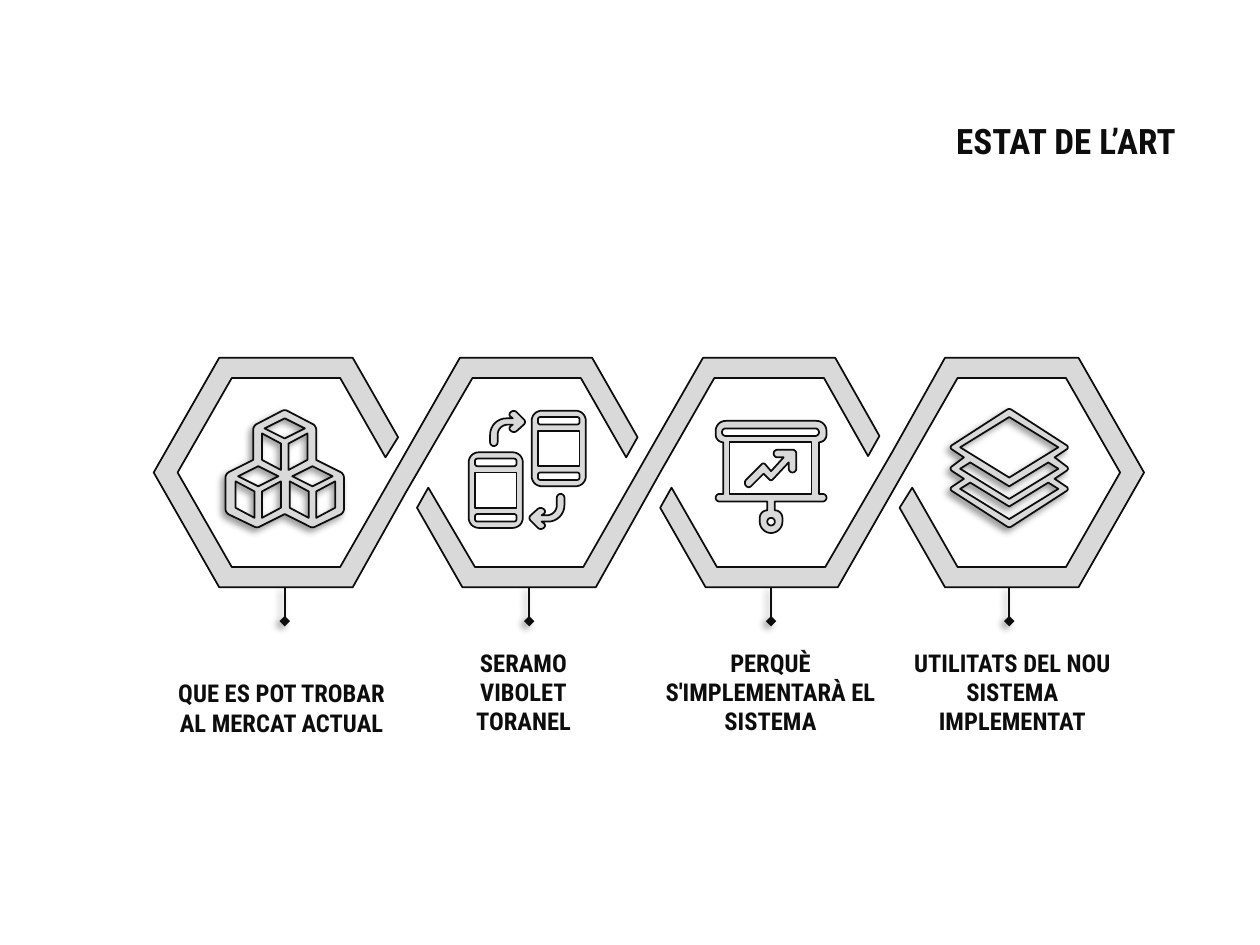
"""Build the slide of four interlocked hexagons with icons and captions."""
from dataclasses import dataclass

from lxml import etree
from pptx import Presentation
from pptx.dml.color import RGBColor
from pptx.enum.shapes import MSO_CONNECTOR
from pptx.enum.text import MSO_ANCHOR, PP_ALIGN
from pptx.oxml.ns import qn
from pptx.util import Pt

PX = 9144
INK = RGBColor(0x0D, 0x0D, 0x0D)
GREY = RGBColor(0xD9, 0xD9, 0xD9)
SHADOW_INK = RGBColor(0, 0, 0)
STRAIGHT = MSO_CONNECTOR.STRAIGHT
BOTTOM = MSO_ANCHOR.BOTTOM
CENTER = PP_ALIGN.CENTER
ROUNDNESS = 0.55
CURVE_STEPS = 8
INSET = 10 * PX
FRAME_FORMAT = {
    "word_wrap": True, "vertical_anchor": BOTTOM,
    "margin_left": INSET, "margin_right": INSET,
    "margin_top": INSET, "margin_bottom": INSET,
}
SHADOW_FORMAT = {
    "blurRad": Pt(4), "dist": Pt(3), "dir": 135 * 60000,
    "algn": "bl", "rotWithShape": 0,
}

Corner = tuple[int, ...]
Contour = list[Corner]


@dataclass(frozen=True)
class Outline:
    contours: list[Contour]
    shadowed: bool = False


@dataclass(frozen=True)
class Caption:
    left: int
    top: int
    width: int
    height: int
    lines: tuple[str, ...]
    size: int = 14


def box(left: int, top: int, right: int, bottom: int, radius: int = 0) -> Contour:
    return [(left, top, radius), (right, top, radius),
            (right, bottom, radius), (left, bottom, radius)]


def diamond(x: int, y: int, half_width: int, half_height: int) -> Contour:
    return [(x, y - half_height), (x + half_width, y),
            (x, y + half_height), (x - half_width, y)]


def half_turn(contour: Contour, sum_x: int, sum_y: int) -> Contour:
    return [(sum_x - x, sum_y - y, *radius) for x, y, *radius in contour]


def mirrored(half: Contour, axis: int) -> Contour:
    """Close a right-hand half with its reflection in a vertical axis."""
    return half + [(2 * axis - x, y, *radius)
                   for x, y, *radius in reversed(half) if x != axis]


def toward(start: Corner, end: Corner, share: float) -> tuple[float, float]:
    return (start[0] + (end[0] - start[0]) * share,
            start[1] + (end[1] - start[1]) * share)


def flatten(contour: Contour) -> list[tuple[int, int]]:
    """Turn corners with a radius into short segments, in EMU."""
    points = []
    for index, corner in enumerate(contour):
        x, y, *radius = corner
        if not any(radius):
            points.append((x, y))
            continue
        ends = []
        for neighbour in (contour[index - 1], contour[(index + 1) % len(contour)]):
            length = ((neighbour[0] - x) ** 2 + (neighbour[1] - y) ** 2) ** 0.5
            ends.append(toward(corner, neighbour, radius[0] / length))
        start, end = ends
        controls = (start, toward(start, corner, ROUNDNESS),
                    toward(end, corner, ROUNDNESS), end)
        for step in range(CURVE_STEPS + 1):
            t = step / CURVE_STEPS
            weights = ((1 - t) ** 3, 3 * t * (1 - t) ** 2, 3 * t * t * (1 - t), t ** 3)
            points.append(tuple(sum(weight * point[axis]
                                    for weight, point in zip(weights, controls))
                                for axis in (0, 1)))
    return [(round(x * PX), round(y * PX)) for x, y in points]


def cast_shadow(properties) -> None:
    effects = etree.SubElement(properties, qn("a:effectLst"))
    shadow = etree.SubElement(effects, qn("a:outerShdw"))
    for key, value in SHADOW_FORMAT.items():
        shadow.set(key, str(value))
    colour = etree.SubElement(shadow, qn("a:srgbClr"), val=str(SHADOW_INK))
    etree.SubElement(colour, qn("a:alpha"), val="40000")


def draw_outline(slide, outline: Outline) -> None:
    first, *holes = [flatten(contour) for contour in outline.contours]
    builder = slide.shapes.build_freeform(*first[0], scale=1.0)
    builder.add_line_segments(first[1:], close=True)
    for hole in holes:
        builder.move_to(*hole[0])
        builder.add_line_segments(hole[1:], close=True)
    shape = builder.convert_to_shape()
    shape.fill.solid()
    shape.fill.fore_color.rgb = GREY
    shape.line.color.rgb = INK
    shape.line.width = Pt(1)
    if outline.shadowed:
        cast_shadow(shape._element.spPr)
    else:
        shape.shadow.inherit = False


def draw_pin(slide, x: int) -> None:
    pin = slide.shapes.add_connector(STRAIGHT, x * PX, 466 * PX, x * PX, 493 * PX)
    pin.line.color.rgb = INK
    pin.line.width = Pt(1)
    etree.SubElement(pin.line._get_or_add_ln(), qn("a:tailEnd"), type="diamond")
    cast_shadow(pin._element.spPr)


def draw_caption(slide, caption: Caption) -> None:
    bounds = (caption.left, caption.top, caption.width, caption.height)
    frame = slide.shapes.add_textbox(*(length * PX for length in bounds)).text_frame
    for key, value in FRAME_FORMAT.items():
        setattr(frame, key, value)
    frame.text = "\n".join(caption.lines)
    font_format = {"name": "Roboto Condensed", "size": Pt(caption.size), "bold": True}
    for paragraph in frame.paragraphs:
        paragraph.alignment = CENTER
        font = paragraph.runs[0].font
        for key, value in font_format.items():
            setattr(font, key, value)
        font.color.rgb = INK


def cube_faces(x: int, y: int) -> list[Contour]:
    sides = [[(x + side * 3, y + 12), (x + side * 18, y + 4),
              (x + side * 18, y + 25), (x + side * 3, y + 33)] for side in (-1, 1)]
    return [diamond(x, y, 16, 8), *sides]


def phone(x: int, y: int) -> Outline:
    return Outline([box(x, y, x + 43, y + 60, 8), box(x + 5, y + 5, x + 38, y + 11, 2),
                    box(x + 5, y + 16, x + 38, y + 44),
                    box(x + 5, y + 49, x + 38, y + 55, 2)])


LEFT_BAND = [
    (174, 284), (122, 375), (174, 466), (280, 466), (322, 391), (375, 300), (461, 300),
    (497, 363), (506, 347), (470, 284), (365, 284), (313, 375), (270, 450), (184, 450),
    (141, 375), (184, 300), (270, 300), (306, 363), (316, 347), (280, 284)]
MIDDLE_BAND = [
    (558, 284), (515, 359), (463, 450), (377, 450), (340, 387), (331, 403), (367, 466),
    (473, 466), (524, 375), (567, 300), (654, 300), (689, 362), (698, 346), (663, 284)]
CUBES_EDGE = mirrored([
    (226, 325, 2), (251, 338, 3), (251, 365), (273, 376, 3), (273, 407, 3),
    (248, 419, 2), (226, 408)], 226)
LAYERS_EDGE = mirrored([
    (801, 324, 2), (849, 355, 3), (837, 363), (849, 372, 3), (837, 380),
    (849, 388, 3), (801, 419, 2)], 801)
LAYER_GAPS = [mirrored([(801, 386 + drop), (832, 367 + drop), (840, 372 + drop),
                        (801, 396 + drop)], 801) for drop in (0, 16)]
BOARD_EDGE = mirrored([
    (656, 334, 8), (656, 351, 6), (650, 351), (650, 392), (656, 392, 3), (656, 398, 3),
    (615, 398), (615, 405), (621, 405, 6), (621, 423, 9)], 612)
TREND_ARROW = [
    (614, 357, 3), (632, 357, 3), (632, 375, 3), (626, 375, 3), (626, 367),
    (612, 382, 2), (606, 376), (594, 388, 3), (590, 383, 3), (606, 367, 2),
    (612, 374), (622, 363), (614, 363, 3)]
SWAP_ARROW = [
    (389, 354, 3), (389, 332, 13), (407, 332), (403, 329, 3), (408, 325, 3),
    (418, 335, 3), (408, 344, 3), (403, 340, 3), (407, 337), (395, 337, 8), (395, 354, 3)]

OUTLINES = [
    Outline([LEFT_BAND]), Outline([half_turn(LEFT_BAND, 1030, 750)]), Outline([MIDDLE_BAND]),
    Outline([BOARD_EDGE, box(573, 340, 650, 346, 3), box(579, 351, 644, 392),
             box(609, 411, 615, 417, 3)]),
    Outline([TREND_ARROW]),
    Outline([LAYERS_EDGE, diamond(801, 355, 39, 24), *LAYER_GAPS], shadowed=True),
    Outline([CUBES_EDGE, *cube_faces(226, 340), *cube_faces(205, 378),
             *cube_faces(248, 378)], shadowed=True),
    phone(372, 359), phone(422, 326),
    Outline([half_turn(SWAP_ARROW, 837, 746)]), Outline([SWAP_ARROW]),
]
PIN_CENTRES = (226, 420, 612, 801)
CAPTIONS = [
    Caption(720, 92, 252, 46, ("ESTAT DE L’ART",), 20),
    Caption(121, 508, 205, 87, ("QUE ES POT TROBAR AL MERCAT ACTUAL",)),
    Caption(313, 507, 205, 87, ("SERAMO", "VIBOLET", "TORANEL")),
    Caption(509, 507, 205, 87, ("PERQUÈ S'IMPLEMENTARÀ EL SISTEMA",)),
    Caption(701, 507, 205, 87, ("UTILITATS DEL NOU SISTEMA IMPLEMENTAT",)),
]


def main() -> None:
    deck = Presentation()
    deck.slide_width, deck.slide_height = 1000 * PX, 750 * PX
    slide = deck.slides.add_slide(deck.slide_layouts[6])
    for outline in OUTLINES:
        draw_outline(slide, outline)
    for x in PIN_CENTRES:
        draw_pin(slide, x)
    for caption in CAPTIONS:
        draw_caption(slide, caption)
    deck.save("out.pptx")


if __name__ == "__main__":
    main()
